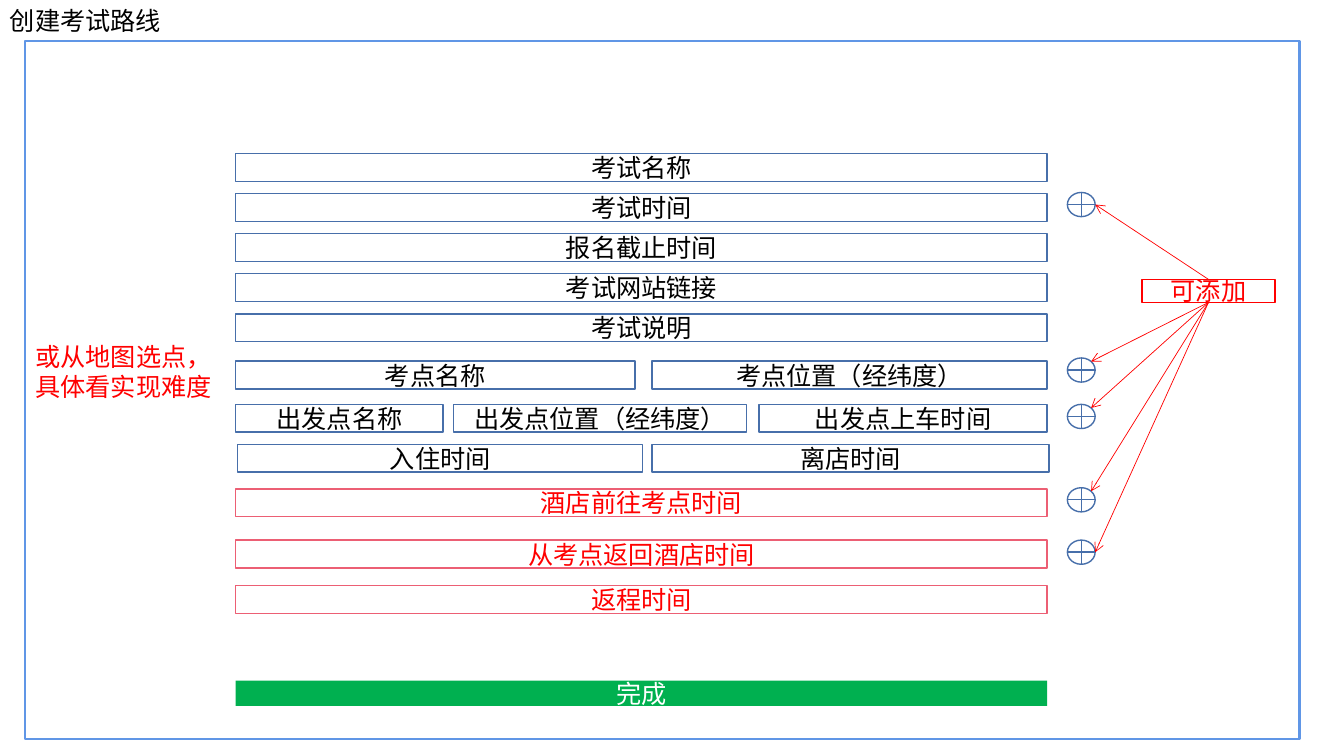
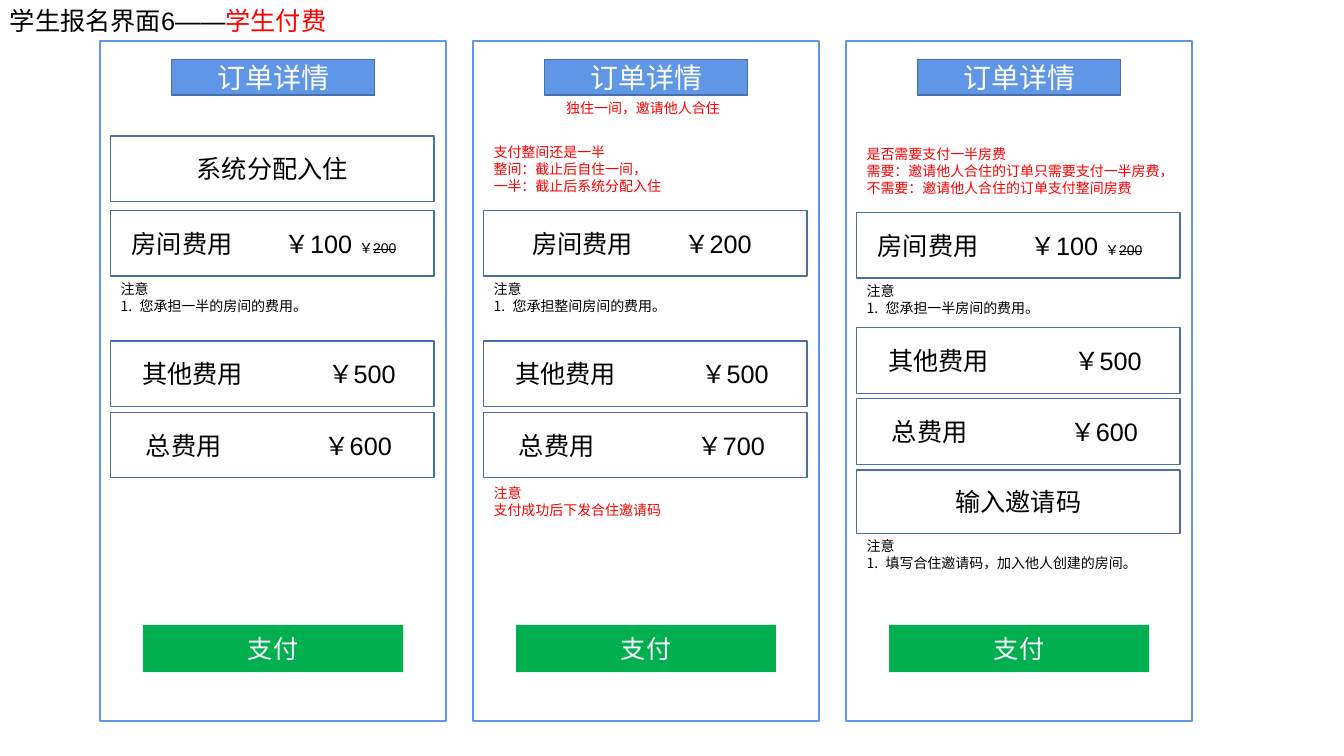
from dataclasses import dataclass
from math import cos, radians, sin
from typing import NamedTuple

from pptx import Presentation
from pptx.dml.color import RGBColor as Rgb
from pptx.enum.shapes import MSO_CONNECTOR as Link, MSO_SHAPE as Form
from pptx.enum.text import MSO_ANCHOR as Anchor, PP_ALIGN as Align
from pptx.oxml.ns import qn
from pptx.util import Cm, Pt
from lxml.etree import SubElement as Sub

FONT = "Arial"
BLACK, WHITE, RED = "000000", "FFFFFF", "FF0000"
SKY, BLUE, ROSE, GREEN = "6096E6", "476FAA", "EC5F74", "00B050"


class Run(NamedTuple):
    text: str
    size: int = 18
    ink: str = BLACK
    strike: bool = False


class Area(NamedTuple):
    left: float
    top: float
    width: float
    height: float


class Look(NamedTuple):
    fill: str | None = None
    line: str | None = BLUE
    ink: str = BLACK
    size: int = 18
    weight: float = 1


class Spot(NamedTuple):
    top: float
    angle: int
    above: bool = False


class Field(NamedTuple):
    top: float
    cells: tuple[tuple[str, float, float], ...]
    look: Look


@dataclass
class Fee:
    top: float
    runs: tuple[Run, ...]
    inset: float = 0
    stop: float = 0
    height: float = 1.65


@dataclass
class Note:
    top: float
    lines: tuple[str, ...]
    ink: str = BLACK
    item: str = ""
    left: float = 0.28


@dataclass
class Panel:
    fees: tuple[Fee, ...]
    notes: tuple[Note, ...]


PLAIN = Look()
FRAME = Look(line=SKY, weight=1.5)
HEAD = Look(SKY, BLUE, WHITE, 20)
WARN = Look(WHITE, ROSE, RED)
DONE = Look(GREEN, None, WHITE)
TAG = Look(line=RED, ink=RED)

LEFT, WIDE, TALL = 5.94, 20.45, 0.7


def shade(color: str) -> Rgb:
    return Rgb.from_string(color)


def write(para, runs: tuple[Run, ...]) -> None:
    for part in runs:
        run = para.add_run()
        run.text = part.text
        style = {"name": FONT, "size": Pt(part.size)}
        for key, value in style.items():
            setattr(run.font, key, value)
        run.font.color.rgb = shade(part.ink)
        if part.strike:
            run.font._element.set("strike", "sngStrike")


def shape(slide, area: Area, look: Look, form=Form.RECTANGLE):
    item = slide.shapes.add_shape(form, *map(Cm, area))
    item.shadow.inherit = False
    if look.fill:
        item.fill.solid()
        item.fill.fore_color.rgb = shade(look.fill)
    else:
        item.fill.background()
    if look.line:
        item.line.color.rgb = shade(look.line)
        item.line.width = Pt(look.weight)
    else:
        item.line.fill.background()
    return item


def block(slide, area: Area, look: Look, text: str) -> None:
    frame = shape(slide, area, look).text_frame
    frame.vertical_anchor = Anchor.MIDDLE
    para = frame.paragraphs[0]
    para.alignment = Align.CENTER
    write(para, (Run(text, look.size, look.ink),))


def label(slide, area: Area, lines: tuple[tuple[Run, ...], ...]):
    frame = slide.shapes.add_textbox(*map(Cm, area)).text_frame
    frame.word_wrap = True
    for index, runs in enumerate(lines):
        para = frame.add_paragraph() if index else frame.paragraphs[0]
        write(para, runs)
    return frame


def title(slide, *runs: Run) -> None:
    label(slide, Area(0, 0, 8.48, 1.02), (runs,))


def arrow(slide, start: tuple[float, float], end: tuple[float, float]) -> None:
    line = slide.shapes.add_connector(Link.STRAIGHT, *map(Cm, start + end))
    line.line.color.rgb = shade(RED)
    line.line.width = Pt(0.5)
    props = line._element.spPr
    Sub(props.find(qn("a:ln")), qn("a:tailEnd"), type="arrow")
    Sub(props, qn("a:effectLst"))


def charge(slide, left: float, fee: Fee) -> None:
    area = Area(left + 0.28, fee.top, 8.15, fee.height)
    frame = shape(slide, area, PLAIN).text_frame
    frame.vertical_anchor = Anchor.MIDDLE
    para = frame.paragraphs[0]
    para.alignment = Align.CENTER
    if fee.stop:
        para.alignment = Align.LEFT
        frame.margin_left = Cm(fee.inset)
        tabs = Sub(para._p.get_or_add_pPr(), qn("a:tabLst"))
        Sub(tabs, qn("a:tab"), pos=str(Cm(fee.stop)), algn="l")
    write(para, fee.runs)


def remark(slide, left: float, note: Note) -> None:
    width = 8.3 if note.left < 1 else 4.52
    count = len(note.lines) + bool(note.item)
    area = Area(left + note.left, note.top, width, 0.27 + 0.42 * count)
    lines = tuple((Run(text, 10, note.ink),) for text in note.lines)
    frame = label(slide, area, lines)
    if note.item:
        para = frame.add_paragraph()
        props = para._p.get_or_add_pPr()
        props.set("marL", str(Cm(0.48)))
        props.set("indent", str(-Cm(0.48)))
        Sub(props, qn("a:buFont"), typeface=FONT)
        Sub(props, qn("a:buAutoNum"), type="arabicPeriod")
        write(para, (Run(note.item, 10, note.ink),))


def room(top: float) -> Fee:
    runs = (Run("房间费用\t￥100 "), Run("￥", 10), Run("200", 10, strike=True))
    return Fee(top, runs, 0.53, 3.86)


def extra(top: float) -> Fee:
    return Fee(top, (Run("其他费用\t￥500"),), 0.79, 4.7)


def total(top: float, cost: int) -> Fee:
    return Fee(top, (Run(f"总费用\t￥{cost}"),), 0.89, 4.5)


NAMES = ("考试名称", "考试时间", "报名截止时间", "考试网站链接", "考试说明")
FIELDS = (
    *(Field(3.87 + 1.01 * n, ((name, LEFT, WIDE),), PLAIN)
      for n, name in enumerate(NAMES)),
    Field(9.1, (("考点名称", LEFT, 10.06),
                ("考点位置（经纬度）", 16.43, 9.96)), PLAIN),
    Field(10.19, (("出发点名称", LEFT, 5.23),
                  ("出发点位置（经纬度）", 11.43, 7.39),
                  ("出发点上车时间", 19.13, 7.26)), PLAIN),
    Field(11.2, (("入住时间", 5.99, 10.21), ("离店时间", 16.43, 10.01)), PLAIN),
    Field(12.32, (("酒店前往考点时间", LEFT, WIDE),), WARN),
    Field(13.61, (("从考点返回酒店时间", LEFT, WIDE),), WARN),
    Field(14.76, (("返程时间", LEFT, WIDE),), WARN),
)
SPOTS = (Spot(4.85, 0, True), Spot(9.02, 45), Spot(10.19, 45),
         Spot(12.29, 45), Spot(13.61, 0))

PANELS = (
    Panel(
        (Fee(3.43, (Run("系统分配入住"),)), room(5.31), extra(8.59),
         total(10.39, 600)),
        (Note(6.95, ("注意",), item="您承担一半的房间的费用。"),),
    ),
    Panel(
        (Fee(5.31, (Run("房间费用\t￥200"),), 1.22, 3.84), extra(8.59),
         total(10.39, 700)),
        (Note(2.39, ("独住一间，邀请他人合住",), RED, left=2.11),
         Note(3.49, ("支付整间还是一半", "整间：截止后自住一间，",
                     "一半：截止后系统分配入住"), RED),
         Note(6.95, ("注意",), item="您承担整间房间的费用。"),
         Note(12.08, ("注意", "支付成功后下发合住邀请码"), RED)),
    ),
    Panel(
        (room(5.36), extra(8.26), total(10.05, 600),
         Fee(11.84, (Run("输入邀请码"),), height=1.6)),
        (Note(3.54, ("是否需要支付一半房费",
                     "需要：邀请他人合住的订单只需要支付一半房费，",
                     "不需要：邀请他人合住的订单支付整间房费"), RED),
         Note(7, ("注意",), item="您承担一半房间的费用。"),
         Note(13.42, ("注意",), item="填写合住邀请码，加入他人创建的房间。")),
    ),
)


def route(slide) -> None:
    title(slide, Run("创建考试路线"))
    shape(slide, Area(0.64, 1.04, 32.11, 17.58), FRAME)
    for field in FIELDS:
        for text, left, width in field.cells:
            block(slide, Area(left, field.top, width, TALL), field.look, text)
    block(slide, Area(LEFT, 17.15, WIDE, 0.64), DONE, "完成")
    label(slide, Area(0.64, 8.48, 5.33, 1.8),
          ((Run("或从地图选点，具体看实现难度", ink=RED),),))

    tag = Area(28.78, 7.04, 3.35, 0.58)
    block(slide, tag, TAG, "可添加")
    for spot in SPOTS:
        ring = Area(26.9, spot.top, 0.7, 0.61)
        shape(slide, ring, PLAIN, Form.FLOWCHART_OR)
        turn = radians(spot.angle)
        end = (ring.left + ring.width / 2 * (1 + cos(turn)),
               ring.top + ring.height / 2 * (1 - sin(turn)))
        edge = tag.top if spot.above else tag.top + tag.height
        arrow(slide, (tag.left + tag.width / 2, edge), end)


def order(slide) -> None:
    for index, panel in enumerate(PANELS):
        left = 2.51 + 9.4 * index
        shape(slide, Area(left, 1.03, 8.74, 17.15), FRAME)
        block(slide, Area(left + 1.82, 1.5, 5.11, 0.9), HEAD, "订单详情")
        block(slide, Area(left + 1.1, 15.75, 6.55, 1.19), DONE, "支付")
        for fee in panel.fees:
            charge(slide, left, fee)
        for note in panel.notes:
            remark(slide, left, note)
    title(slide, Run("学生报名界面6——"), Run("学生付费", ink=RED))


def main() -> None:
    deck = Presentation()
    deck.slide_width, deck.slide_height = Cm(33.87), Cm(19.05)
    for draw in (route, order):
        draw(deck.slides.add_slide(deck.slide_layouts[6]))
    deck.save("out.pptx")


if __name__ == "__main__":
    main()
